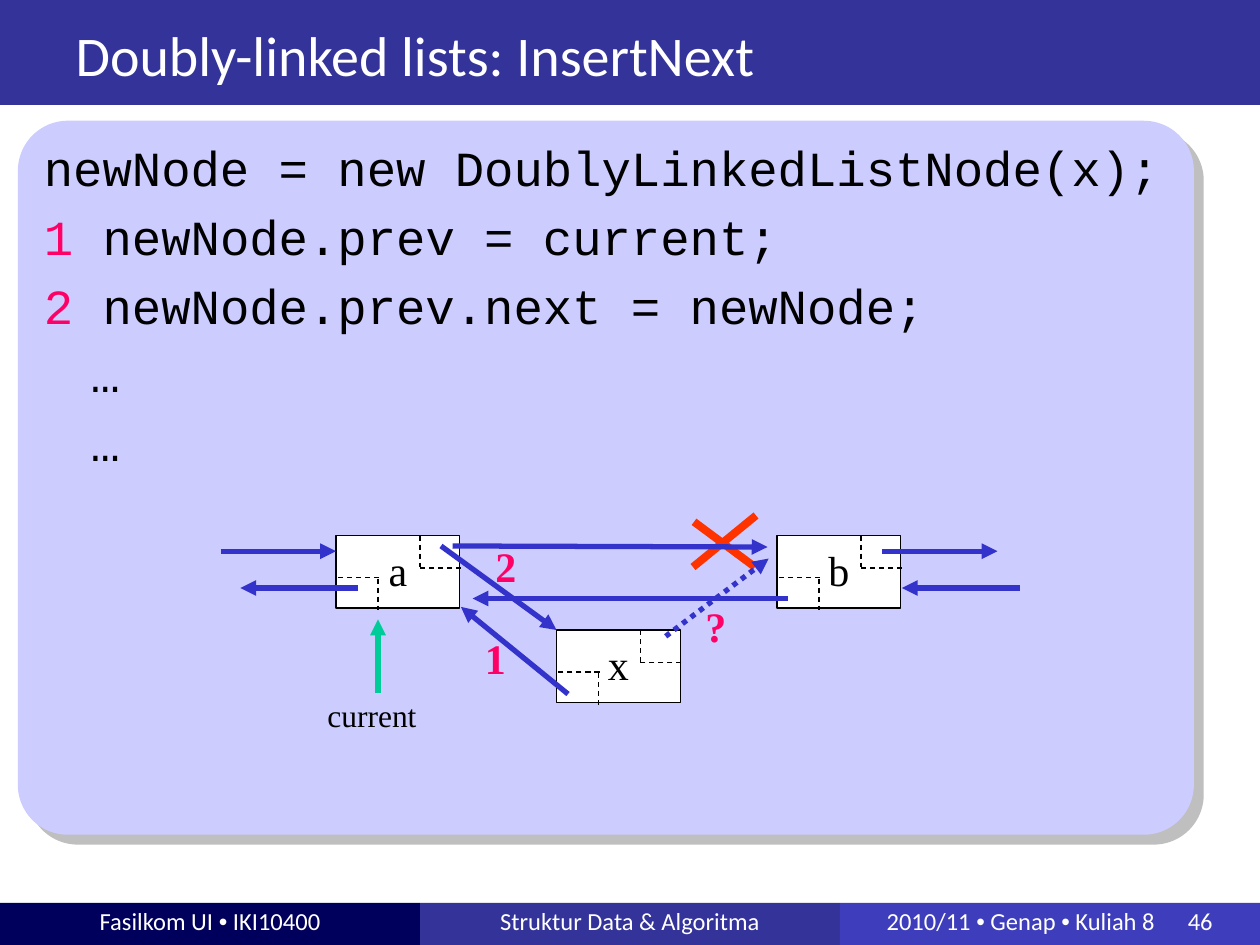
import pptx
import pptx.util
import pptx.dml.color
import pptx.enum.dml
import pptx.enum.shapes
import pptx.enum.text
import pptx.oxml
import pptx.oxml.ns
from lxml import etree

RGB = pptx.dml.color.RGBColor
NAVY, BLUE, SKY = RGB(0x00, 0x00, 0x5C), RGB(0x33, 0x33, 0x99), RGB(0x3E, 0x3E, 0xBC)
PALE, WHITE, BLACK = RGB(0xCC, 0xCC, 0xFF), RGB(0xFF, 0xFF, 0xFF), RGB(0, 0, 0)
LINK, PINK = RGB(0x33, 0x33, 0xCC), RGB(0xFF, 0x00, 0x66)
RED, GREEN = RGB(0xFF, 0x33, 0x00), RGB(0x00, 0xCC, 0x99)
SANS, MONO, SERIF = "Calibri", "Courier New", "Times New Roman"
KIND = pptx.enum.shapes.MSO_SHAPE
ALIGN = pptx.enum.text.PP_ALIGN
ANCHOR = pptx.enum.text.MSO_ANCHOR
DASH = pptx.enum.dml.MSO_LINE
COLS, ROWS = 120, 90


class Deck:
    """Holds the grid, the style and the current slide."""

    def __init__(self):
        self.file = pptx.Presentation()
        self.file.slide_width = pptx.util.Inches(10)
        self.file.slide_height = pptx.util.Inches(7.5)
        self.slide = self.file.slides.add_slide(self.file.slide_layouts[5])
        self.shapes = self.slide.shapes

    def grid(self, x, y):
        """Turn columns and rows into slide lengths."""
        return (round(self.file.slide_width * x / COLS),
                round(self.file.slide_height * y / ROWS))

    def frame(self, shape, anchor, wrap=True, pads=(0.1, 0.05, 0.1, 0.05)):
        """Set up a text frame and return it."""
        text = shape.text_frame
        text.word_wrap = wrap
        text.vertical_anchor = anchor
        (text.margin_left, text.margin_top,
         text.margin_right, text.margin_bottom) = map(pptx.util.Inches, pads)
        return text

    def words(self, par, parts, size, face, ink, align=ALIGN.LEFT, bold=False):
        """Fill a paragraph from a string or from (words, font changes) pairs."""
        par.alignment = align
        par.font.size = pptx.util.Pt(size)
        par.font.bold = bold
        if isinstance(parts, str):
            parts = [(parts, {})]
        looks = [{"face": face, "ink": ink, **look} for _, look in parts]
        if len({look["face"] for look in looks}) == 1:
            par.font.name = face
        if len({look["ink"] for look in looks}) == 1:
            par.font.color.rgb = ink
        for (piece, _), look in zip(parts, looks):
            run = par.add_run()
            run.text = piece
            if par.font.name is None:
                run.font.name = look["face"]
            if par.font.color.type is None:
                run.font.color.rgb = look["ink"]

    def box(self, kind, x, y, wide, high, fill, edge=None):
        """Draw a filled shape."""
        shape = self.shapes.add_shape(kind, *self.grid(x, y), *self.grid(wide, high))
        shape.shadow.inherit = False
        shape.fill.solid()
        shape.fill.fore_color.rgb = fill
        if edge is None:
            shape.line.fill.background()
        else:
            shape.line.color.rgb = edge
            shape.line.width = pptx.util.Pt(0.75)
        return shape

    def panel(self, x, y, wide, high):
        """Draw the rounded panel with its offset shadow."""
        shape = self.box(KIND.ROUNDED_RECTANGLE, x, y, wide, high, PALE)
        shape.adjustments[0] = 0.07
        holder = shape.element.spPr.find(pptx.oxml.ns.qn("a:effectLst"))
        holder.append(pptx.oxml.parse_xml(
            '<a:outerShdw xmlns:a="http://schemas.openxmlformats.org/drawingml/2006/main"'
            ' dist="101600" dir="2700000" algn="ctr"><a:srgbClr val="808080">'
            '<a:alpha val="50000"/></a:srgbClr></a:outerShdw>'))

    def line(self, start, end, ink=LINK, width=3, dash=None, head=True):
        """Draw a line or an arrow."""
        link = self.shapes.add_connector(pptx.enum.shapes.MSO_CONNECTOR.STRAIGHT,
                                         *self.grid(*start), *self.grid(*end))
        link.line.color.rgb = ink
        link.line.width = pptx.util.Pt(width)
        if dash:
            link.line.dash_style = dash
        props = link.element.spPr
        if head:
            etree.SubElement(props.find(pptx.oxml.ns.qn("a:ln")),
                             pptx.oxml.ns.qn("a:tailEnd"), type="triangle")
        etree.SubElement(props, pptx.oxml.ns.qn("a:effectLst"))

    def node(self, x, y, name):
        """Draw a list node with its two pointer corners."""
        shape = self.box(KIND.RECTANGLE, x, y, 11.8, 6.9, WHITE, BLACK)
        par = self.frame(shape, ANCHOR.MIDDLE).paragraphs[0]
        par.line_spacing = 0.95
        self.words(par, name, 24, SERIF, BLACK, ALIGN.CENTER)
        for a, b, c, d in ((8, 0, 8, 3), (4, 4.1, 4, 7.1),
                           (4.1, 4, -0.1, 4), (11.9, 3.1, 7.9, 3.1)):
            self.line((x + a, y + b), (x + c, y + d), BLACK, 0.75, DASH.DASH, False)

    def label(self, x, y, wide, high, name, size=24, ink=PINK, bold=True, wrap=True):
        """Place a short label."""
        shape = self.shapes.add_textbox(*self.grid(x, y), *self.grid(wide, high))
        par = self.frame(shape, ANCHOR.TOP, wrap).paragraphs[0]
        par.line_spacing = 0.95
        self.words(par, name, size, SERIF, ink, bold=bold)

    def title(self, x, y, wide, high, name):
        """Move the title placeholder to the front and fill it."""
        shape = self.shapes.title
        self.shapes.element.append(shape.element)
        shape.left, shape.top = self.grid(x, y)
        shape.width, shape.height = self.grid(wide, high)
        text = self.frame(shape, ANCHOR.BOTTOM)
        self.words(text.paragraphs[0], name, 32, SANS, WHITE)

    def code(self, x, y, wide, high, lines):
        """Place the code, one paragraph a line, with a left margin each."""
        shape = self.shapes.add_textbox(*self.grid(x, y), *self.grid(wide, high))
        text = self.frame(shape, ANCHOR.TOP)
        for i, (inset, parts) in enumerate(lines):
            par = text.add_paragraph() if i else text.paragraphs[0]
            par.line_spacing = 0.9 if i else 0.93
            par.space_before = pptx.util.Pt(3 if i else 0)
            par.space_after = pptx.util.Pt(6)
            par._p.get_or_add_pPr().set("marL", str(pptx.util.Inches(inset)))
            self.words(par, parts, 28, MONO, BLACK)

    def foot(self, x, fill, parts, pad=0.1, tab=None):
        """Draw one third of the footer."""
        shape = self.box(KIND.RECTANGLE, x, 86, 40, 4, fill)
        par = self.frame(shape, ANCHOR.MIDDLE, pads=(pad, 0, 0.1, 0.05)).paragraphs[0]
        if tab:
            stops = etree.SubElement(par._p.get_or_add_pPr(), pptx.oxml.ns.qn("a:tabLst"))
            etree.SubElement(stops, pptx.oxml.ns.qn("a:tab"),
                             pos=str(pptx.util.Inches(tab)), algn="l")
        self.words(par, parts, 14, SANS, WHITE, ALIGN.LEFT if tab else ALIGN.CENTER)


def main():
    """Build the slide."""
    deck = Deck()
    dot, mark = ("•", {"face": "Arial"}), {"ink": PINK}
    deck.box(KIND.RECTANGLE, 0, 0, 120, 10, BLUE)
    deck.foot(0, NAVY, [("Fasilkom UI ", {}), dot, (" IKI10400", {})])
    deck.foot(40, BLUE, "Struktur Data & Algoritma")
    deck.foot(80, SKY, [("2010/11 ", {}), dot, (" Genap ", {}), dot,
                        (" Kuliah 8\t46", {})], 0.37, 2.39)
    deck.panel(1.7, 11.5, 112, 68)
    deck.title(6, -2.2, 107.2, 11.2, "Doubly-linked lists: InsertNext")
    deck.code(3, 13, 117, 70, [
        (0, "newNode = new DoublyLinkedListNode(x);"),
        (0, [("1 ", mark), ("newNode.prev = current;", {})]),
        (0, [("2", mark), (" newNode.prev.next = newNode;", {})]),
        (0.37, "…"), (0.37, "…")])
    for x, y, name in ((53, 60, "x"), (32, 51, "a"), (74, 51, "b")):
        deck.node(x, y, name)
    deck.line((42, 52), (53, 60))
    deck.line((54.1, 66.1), (43.9, 57.8))
    for x in (21, 84):
        deck.line((x, 52.5), (x + 11, 52.5))
        deck.line((x + 13.1, 56), (x + 1.9, 56))
    deck.label(45, 60, 5, 5.8, "1")
    deck.label(46, 51.2, 5, 5.8, "2")
    deck.line((66.1, 49.7), (71.9, 54), RED, 4.5, head=False)
    deck.line((72, 49.1), (66, 54), RED, 4.5, head=False)
    deck.line((43.1, 52), (73.1, 52.1))
    deck.line((75, 57), (45, 57))
    deck.line((63.4, 60.6), (73.2, 53.2), dash=DASH.ROUND_DOT)
    deck.label(66, 57, 5, 5.8, "?")
    deck.line((36, 66), (36, 59), GREEN)
    deck.label(30, 66, 10.9, 4.7, "current", 18, BLACK, False, False)
    deck.file.save("out.pptx")


if __name__ == "__main__":
    main()
